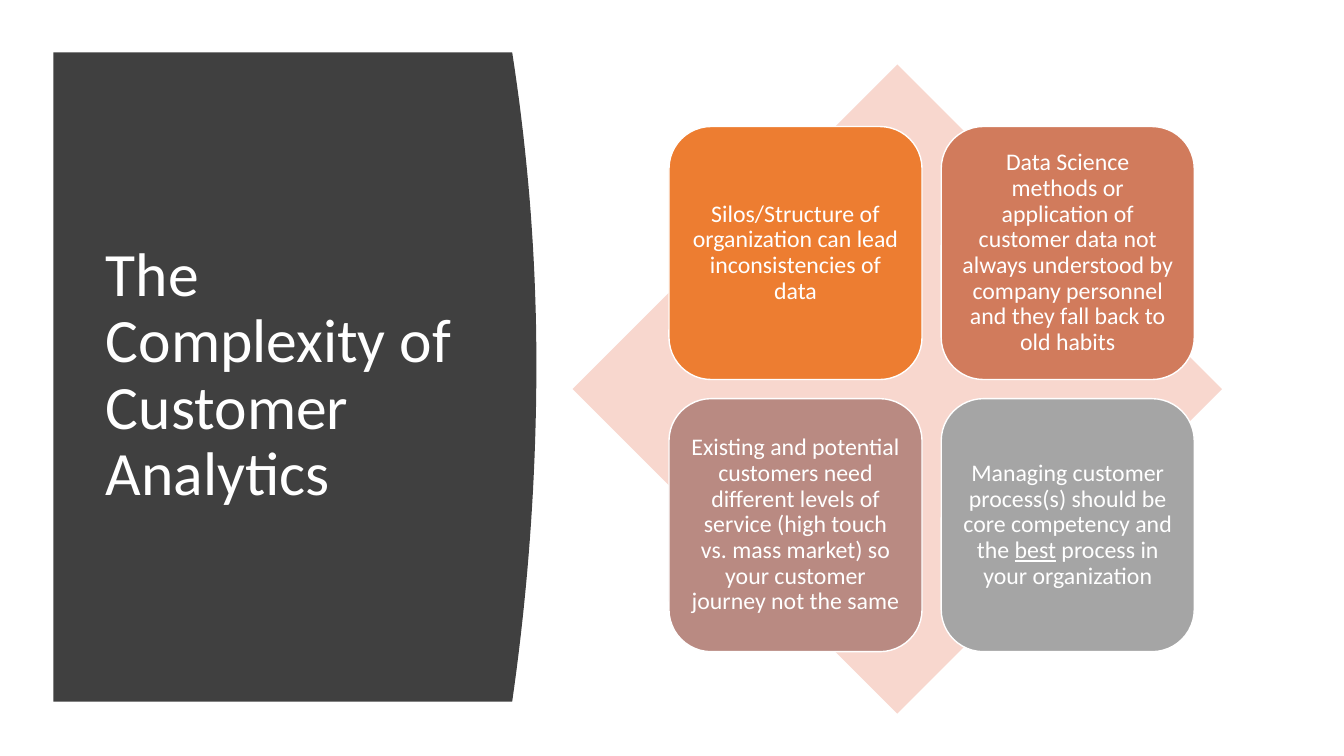
from dataclasses import dataclass

from pptx import Presentation
from pptx.dml.color import RGBColor
from pptx.enum.shapes import MSO_SHAPE as Shape
from pptx.enum.text import MSO_ANCHOR as Anchor, MSO_AUTO_SIZE as AutoSize, PP_ALIGN as Align
from pptx.util import Inches, Pt


@dataclass(frozen=True)
class Theme:
    font: str = "Calibri"
    title_size: int = 44
    card_size: int = 17
    white: str = "FFFFFF"
    panel: str = "404040"
    diamond: str = "F8D7CE"
    cards: tuple = ("ED7D31", "D17B5C", "B98A82", "A5A5A5")


THEME = Theme()

# Each card is a list of (text, underlined) runs.
CARD_TEXTS = [
    [("Silos/Structure of organization can lead inconsistencies of data", False)],
    [("Data Science methods or application of customer data not always understood "
      "by company personnel and they fall back to old habits", False)],
    [("Existing and potential customers need different levels of service "
      "(high touch vs. mass market) so your customer journey not the same", False)],
    [("Managing customer process(s) should be core competency and the ", False),
     ("best", True),
     (" process in your organization", False)],
]


def paint(shape, fill, line=None):
    shape.shadow.inherit = False
    shape.fill.solid()
    shape.fill.fore_color.rgb = RGBColor.from_string(fill)
    if line:
        shape.line.color.rgb = RGBColor.from_string(line)
        shape.line.width = Pt(1)
    else:
        shape.line.fill.background()


def write_text(shape, runs, *, size, align, margin, color=THEME.white):
    """Write one vertically centred paragraph of (text, underlined) runs."""
    frame = shape.text_frame
    frame.word_wrap = True
    frame.auto_size = AutoSize.NONE
    frame.vertical_anchor = Anchor.MIDDLE
    frame.margin_left = frame.margin_right = Inches(margin)
    frame.margin_top = frame.margin_bottom = Inches(min(margin, 0.07))
    paragraph = frame.paragraphs[0]
    paragraph.alignment = align
    paragraph.line_spacing = 0.9
    for text, underlined in runs:
        run = paragraph.add_run()
        run.text = text
        run.font.name = THEME.font
        run.font.size = Pt(size)
        run.font.color.rgb = RGBColor.from_string(color)
        if underlined:
            run.font.underline = True


def add_title_panel(slide, left, top, width, height):
    """Dark panel whose right edge bulges as a shallow curve, with the title on it."""
    bulge, steps = 0.24, 40
    peak = 0.48 * height
    edge = []
    for step in range(steps + 1):
        y = height * step / steps
        reach = peak if y < peak else height - peak
        x = width - bulge * ((y - peak) / reach) ** 2
        edge.append((Inches(left + x), Inches(top + y)))
    builder = slide.shapes.build_freeform(Inches(left), Inches(top))
    builder.add_line_segments(edge + [(Inches(left), Inches(top + height))], close=True)
    paint(builder.convert_to_shape(), THEME.panel)

    title = slide.shapes.title
    title.left, title.top = Inches(left + 0.42), Inches(top + 0.59)
    title.width, title.height = Inches(3.74), Inches(height - 1.2)
    write_text(title, [("The Complexity of Customer Analytics", False)],
               size=THEME.title_size, align=Align.LEFT, margin=0.1)
    # Bring the placeholder in front of the panel.
    slide.shapes.element.append(title.element)


def add_card_matrix(slide, left, top, side):
    """Two-by-two grid of cards on a square diamond, set right of its centre."""
    diamond = slide.shapes.add_shape(
        Shape.DIAMOND, Inches(left), Inches(top), Inches(side), Inches(side))
    paint(diamond, THEME.diamond)

    card, gap, shift = 2.51, 0.19, 0.34
    inset = (side - 2 * card - gap) / 2
    for index, (runs, fill) in enumerate(zip(CARD_TEXTS, THEME.cards)):
        row, column = divmod(index, 2)
        shape = slide.shapes.add_shape(
            Shape.ROUNDED_RECTANGLE,
            Inches(left + inset + shift + column * (card + gap)),
            Inches(top + inset + row * (card + gap)),
            Inches(card), Inches(card))
        paint(shape, fill, THEME.white)
        write_text(shape, runs, size=THEME.card_size, align=Align.CENTER, margin=0.07)


def main():
    presentation = Presentation()
    presentation.slide_width = Inches(13.33)
    presentation.slide_height = Inches(7.5)
    title_only = presentation.slide_layouts[5]
    slide = presentation.slides.add_slide(title_only)
    add_title_panel(slide, 0.53, 0.52, 4.79, 6.44)
    add_card_matrix(slide, 5.68, 0.64, 6.44)
    presentation.save("out.pptx")


if __name__ == "__main__":
    main()
